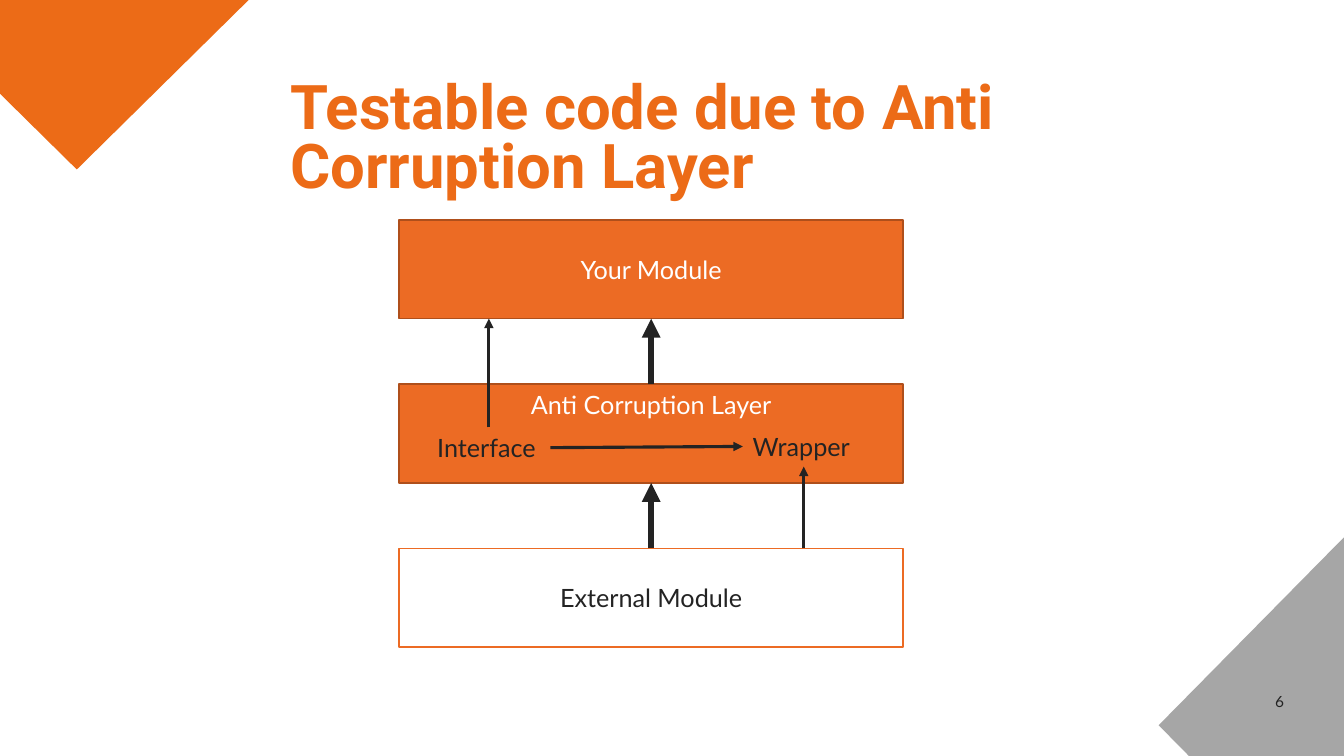
"""Build the slide on testable code and the anti corruption layer."""
from dataclasses import dataclass

from lxml import etree
from pptx import Presentation
from pptx.dml.color import RGBColor
from pptx.enum.shapes import MSO_CONNECTOR, MSO_SHAPE
from pptx.enum.text import MSO_ANCHOR, MSO_AUTO_SIZE, PP_ALIGN
from pptx.oxml.ns import qn
from pptx.util import Cm, Pt

RECTANGLE, TRIANGLE = MSO_SHAPE.RECTANGLE, MSO_SHAPE.ISOSCELES_TRIANGLE
STRAIGHT = MSO_CONNECTOR.STRAIGHT
TOP, MIDDLE = MSO_ANCHOR.TOP, MSO_ANCHOR.MIDDLE
LEFT, CENTER, RIGHT = PP_ALIGN.LEFT, PP_ALIGN.CENTER, PP_ALIGN.RIGHT
FIT_TEXT = MSO_AUTO_SIZE.SHAPE_TO_FIT_TEXT


@dataclass(frozen=True)
class Theme:
    accent: str = "EC6B17"
    box: str = "EC6B24"
    edge: str = "AF4F1B"
    ink: str = "232323"
    paper: str = "FFFFFF"
    gray: str = "A6A6A6"
    heading_font: str = "Roboto"
    body_font: str = "Lato"
    heading_size: float = 44
    body_size: float = 18
    number_size: float = 11
    border: float = 1
    thin: float = 2.25
    thick: float = 4.5


THEME = Theme()

TITLE = "Testable code due to Anti Corruption Layer"
PAGE_NUMBER = "6"
LAYERS = [
    ("Your Module", THEME.box, THEME.edge, THEME.paper, MIDDLE),
    ("Anti Corruption Layer", THEME.box, THEME.edge, THEME.paper, TOP),
    ("External Module", THEME.paper, THEME.box, THEME.ink, MIDDLE),
]
INTERFACE = ("Interface", 10.77, 10.77, 3.1)
WRAPPER = ("Wrapper", 18.72, 10.74, 3.07)
CORNERS = [
    (26.47, 15.62, 270, THEME.gray),
    (-3.45, -1.04, 180, THEME.accent),
]

CORNER_WIDTH, CORNER_HEIGHT = 10.77, 5.31
LAYER_LEFT, LAYER_TOP = 10.06, 5.54
LAYER_WIDTH, LAYER_HEIGHT, LAYER_PITCH = 12.7, 2.49, 4.14
LABEL_HEIGHT = 1.02


def write(shape, text, color, size=THEME.body_size, font=THEME.body_font,
          align=LEFT, anchor=TOP, bold=False):
    frame = shape.text_frame
    frame.word_wrap = True
    frame.vertical_anchor = anchor
    frame.text = text
    paragraph = frame.paragraphs[0]
    paragraph.alignment = align
    paragraph.font.name = font
    paragraph.font.size = Pt(size)
    paragraph.font.bold = bold
    paragraph.font.color.rgb = RGBColor.from_string(color)
    return frame


def add_textbox(slide, left, top, width, height):
    return slide.shapes.add_textbox(Cm(left), Cm(top), Cm(width), Cm(height))


def add_filled(slide, kind, left, top, width, height, fill):
    shape = slide.shapes.add_shape(kind, Cm(left), Cm(top), Cm(width), Cm(height))
    shape.shadow.inherit = False
    shape.fill.solid()
    shape.fill.fore_color.rgb = RGBColor.from_string(fill)
    shape.line.fill.background()
    return shape


def add_arrow(slide, start, end, weight):
    arrow = slide.shapes.add_connector(STRAIGHT, *map(Cm, start + end))
    arrow.line.width = Pt(weight)
    arrow.line.color.rgb = RGBColor.from_string(THEME.ink)
    etree.SubElement(arrow.line._get_or_add_ln(), qn("a:tailEnd"), type="triangle")
    etree.SubElement(arrow._element.spPr, qn("a:effectLst"))


def add_layer(slide, top, text, fill, edge, color, anchor):
    layer = add_filled(slide, RECTANGLE, LAYER_LEFT, top, LAYER_WIDTH, LAYER_HEIGHT, fill)
    layer.line.color.rgb = RGBColor.from_string(edge)
    layer.line.width = Pt(THEME.border)
    write(layer, text, color, align=CENTER, anchor=anchor)


def add_label(slide, text, left, top, width):
    label = add_textbox(slide, left, top, width, LABEL_HEIGHT)
    frame = write(label, text, THEME.ink)
    frame.word_wrap = False
    frame.auto_size = FIT_TEXT


def add_frame(slide):
    for left, top, rotation, fill in CORNERS:
        corner = add_filled(slide, TRIANGLE, left, top, CORNER_WIDTH, CORNER_HEIGHT, fill)
        corner.rotation = rotation
    title = add_textbox(slide, 7.32, 2.06, 25.27, 1.24)
    frame = write(title, TITLE, THEME.accent, THEME.heading_size,
                  THEME.heading_font, bold=True)
    frame.margin_left = frame.margin_right = frame.margin_top = frame.margin_bottom = 0
    frame.paragraphs[0].line_spacing = 0.8
    number = add_textbox(slide, 31.52, 17.37, 1.09, 0.61)
    write(number, PAGE_NUMBER, THEME.ink, THEME.number_size, align=RIGHT, anchor=MIDDLE)


def add_diagram(slide):
    tops = [LAYER_TOP + row * LAYER_PITCH for row in range(len(LAYERS))]
    for top, layer in zip(tops, LAYERS):
        add_layer(slide, top, *layer)

    middle = LAYER_LEFT + LAYER_WIDTH / 2
    for upper, lower in zip(tops, tops[1:]):
        add_arrow(slide, (middle, lower), (middle, upper + LAYER_HEIGHT), THEME.thick)

    for label in (INTERFACE, WRAPPER):
        add_label(slide, *label)
    _, interface_left, interface_top, interface_width = INTERFACE
    _, wrapper_left, wrapper_top, wrapper_width = WRAPPER
    interface_x = interface_left + interface_width / 2
    wrapper_x = wrapper_left + wrapper_width / 2
    thin_arrows = [
        ((interface_x, interface_top), (interface_x, tops[0] + LAYER_HEIGHT)),
        ((interface_left + interface_width, interface_top + LABEL_HEIGHT / 2),
         (wrapper_left, wrapper_top + LABEL_HEIGHT / 2)),
        ((wrapper_x, tops[2]), (wrapper_x, wrapper_top + LABEL_HEIGHT)),
    ]
    for start, end in thin_arrows:
        add_arrow(slide, start, end, THEME.thin)


def main():
    deck = Presentation()
    deck.slide_width, deck.slide_height = Cm(33.87), Cm(19.05)
    slide = deck.slides.add_slide(deck.slide_layouts[6])
    add_frame(slide)
    add_diagram(slide)
    deck.save("out.pptx")


if __name__ == "__main__":
    main()
